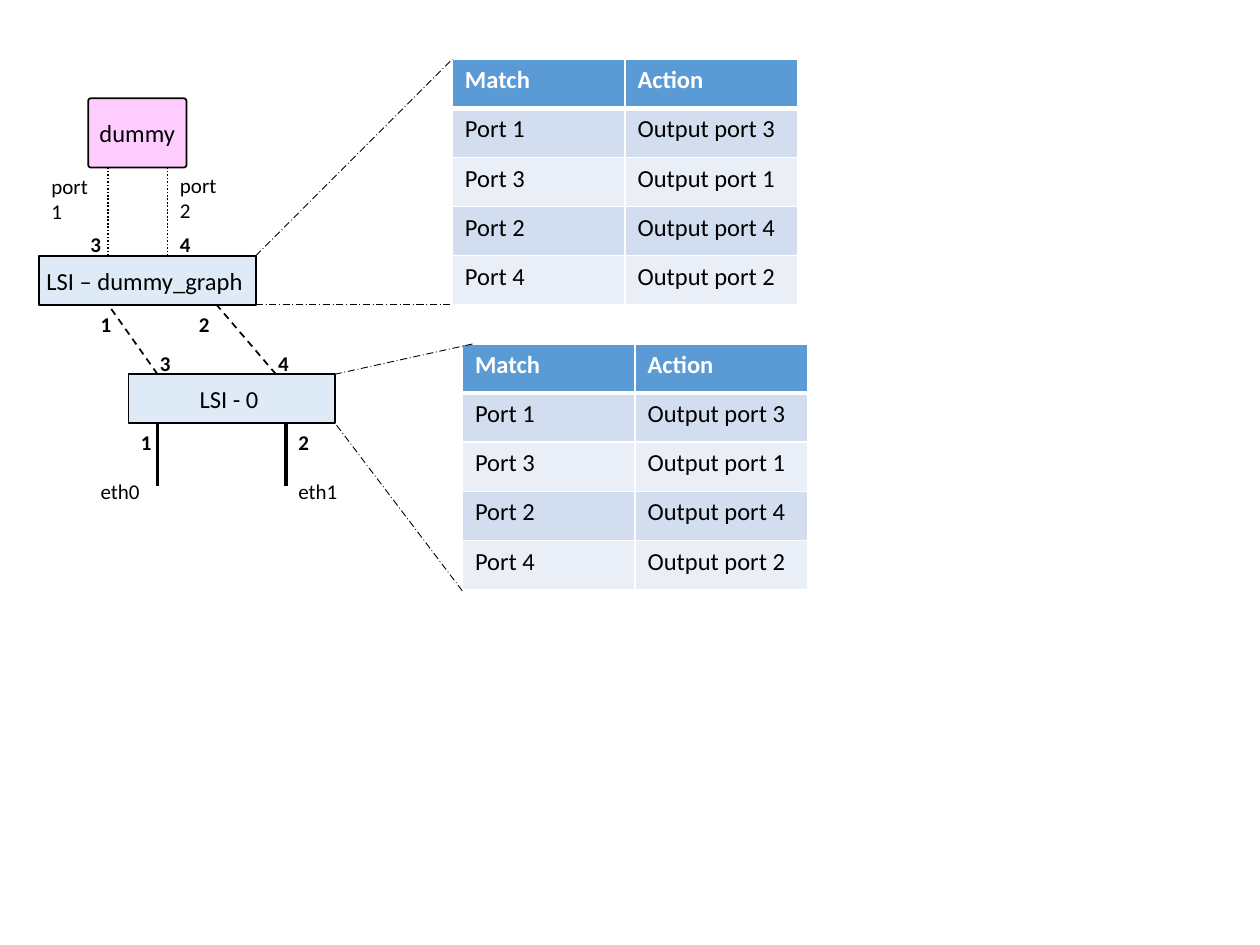
from lxml.etree import SubElement
from pptx import Presentation
from pptx.dml.color import RGBColor
from pptx.enum.dml import MSO_LINE
from pptx.enum.shapes import MSO_CONNECTOR, MSO_SHAPE
from pptx.enum.text import MSO_ANCHOR, PP_ALIGN
from pptx.oxml.ns import qn
from pptx.util import Inches, Pt

BLACK = RGBColor(0x00, 0x00, 0x00)
WHITE = RGBColor(0xFF, 0xFF, 0xFF)
PINK = RGBColor(0xFF, 0xCC, 0xFF)
PALE_BLUE = RGBColor(0xDE, 0xEB, 0xF7)
HEADER_BLUE = RGBColor(0x5B, 0x9B, 0xD5)
BAND_DARK = RGBColor(0xD2, 0xDE, 0xEF)
BAND_LIGHT = RGBColor(0xEA, 0xEF, 0xF7)

FLOW_RULES = [
    ("Match", "Action"),
    ("Port 1", "Output port 3"),
    ("Port 3", "Output port 1"),
    ("Port 2", "Output port 4"),
    ("Port 4", "Output port 2"),
]


class Diagram:
    """Draws the switch diagram's elements on one page in a shared style."""

    font = "Calibri"
    row_height = 0.39
    column_width = 1.37

    def __init__(self, page):
        self.page = page

    def set_text(self, frame, text, size, color=BLACK, bold=False, align=None):
        frame.text = text
        para = frame.paragraphs[0]
        para.alignment = align
        for span in para.runs:
            span.font.name = self.font
            span.font.size = Pt(size)
            span.font.bold = bold
            span.font.color.rgb = color

    def box(self, text, left, top, width, height, fill, kind=MSO_SHAPE.RECTANGLE):
        box = self.page.shapes.add_shape(
            kind, Inches(left), Inches(top), Inches(width), Inches(height))
        box.shadow.inherit = False
        box.fill.solid()
        box.fill.fore_color.rgb = fill
        box.line.color.rgb = BLACK
        box.line.width = Pt(1)
        box.text_frame.word_wrap = False
        box.text_frame.vertical_anchor = MSO_ANCHOR.MIDDLE
        self.set_text(box.text_frame, text, 14, align=PP_ALIGN.CENTER)
        return box

    def label(self, text, left, top, width=0.55, bold=False):
        label = self.page.shapes.add_textbox(
            Inches(left), Inches(top), Inches(width), Inches(0.32))
        label.text_frame.word_wrap = False
        self.set_text(label.text_frame, text, 12, bold=bold)

    def port_number(self, text, left, top):
        self.label(text, left, top, width=0.23, bold=True)

    def line(self, start, end, width, dash=None):
        line = self.page.shapes.add_connector(
            MSO_CONNECTOR.STRAIGHT, *(Inches(value) for value in (*start, *end)))
        line.line.color.rgb = BLACK
        line.line.width = Pt(width)
        if dash:
            line.line.dash_style = dash
        SubElement(line._element.spPr, qn("a:effectLst"))

    def border(self, cell, side, width):
        properties = cell._tc.get_or_add_tcPr()
        edge = SubElement(properties, qn(f"a:ln{side}"), w=str(Pt(width)))
        fill = SubElement(edge, qn("a:solidFill"))
        SubElement(fill, qn("a:srgbClr"), val=str(WHITE))

    def flow_table(self, left, top, rules):
        rows, columns = len(rules), len(rules[0])
        table = self.page.shapes.add_table(
            rows, columns, Inches(left), Inches(top),
            Inches(columns * self.column_width), Inches(rows * self.row_height)).table
        for column in table.columns:
            column.width = Inches(self.column_width)
        for index, rule in enumerate(rules):
            table.rows[index].height = Inches(self.row_height)
            header = index == 0
            fill = HEADER_BLUE if header else (BAND_LIGHT, BAND_DARK)[index % 2]
            thick_side = {0: "B", 1: "T"}.get(index)
            for cell, text in zip(table.rows[index].cells, rule):
                for side in "LRTB":
                    self.border(cell, side, 3 if side == thick_side else 1)
                cell.fill.solid()
                cell.fill.fore_color.rgb = fill
                self.set_text(cell.text_frame, text, 14, WHITE if header else BLACK, header)


def main():
    deck = Presentation()
    deck.slide_width, deck.slide_height = Inches(10), Inches(7.5)
    diagram = Diagram(deck.slides.add_slide(deck.slide_layouts[6]))

    diagram.box("LSI - 0 ", 1.02, 2.97, 1.64, 0.39, PALE_BLUE)
    for name, line_left, label_left in (("eth0", 1.25, 0.7), ("eth1", 2.27, 2.27)):
        diagram.line((line_left, 3.36), (line_left, 3.86), 2.25)
        diagram.label(name, label_left, 3.75)

    diagram.box("LSI – dummy_graph ", 0.31, 2.03, 1.72, 0.39, PALE_BLUE)
    for lower, upper in ((1.25, 0.86), (2.19, 1.72)):
        diagram.line((lower, 2.97), (upper, 2.42), 1, MSO_LINE.DASH)
    for left, end in ((0.86, 1.17), (1.33, 1.25)):
        diagram.line((left, 2.03), (left, end), 1, MSO_LINE.ROUND_DOT)

    dummy = diagram.box("dummy", 0.7, 0.78, 0.78, 0.55, PINK, MSO_SHAPE.ROUNDED_RECTANGLE)
    dummy.adjustments[0] = 0.04
    diagram.label("port1", 0.31, 1.33)
    diagram.label("port2", 1.33, 1.32)

    for names, top, lefts in (
        ("12", 3.36, (1.02, 2.27)),
        ("34", 2.73, (1.17, 2.11)),
        ("12", 2.42, (0.7, 1.48)),
        ("34", 1.79, (0.62, 1.33)),
    ):
        for name, left in zip(names, lefts):
            diagram.port_number(name, left, top)

    for table_corner, callouts in (
        ((3.59, 0.47), (((2.03, 2.03), (3.59, 0.47)), ((2.03, 2.42), (3.59, 2.42)))),
        ((3.67, 2.73), (((3.75, 2.73), (2.66, 2.97)), ((3.67, 4.69), (2.66, 3.36)))),
    ):
        diagram.flow_table(*table_corner, FLOW_RULES)
        for start, end in callouts:
            diagram.line(start, end, 0.5, MSO_LINE.LONG_DASH_DOT)

    deck.save("out.pptx")


if __name__ == "__main__":
    main()
